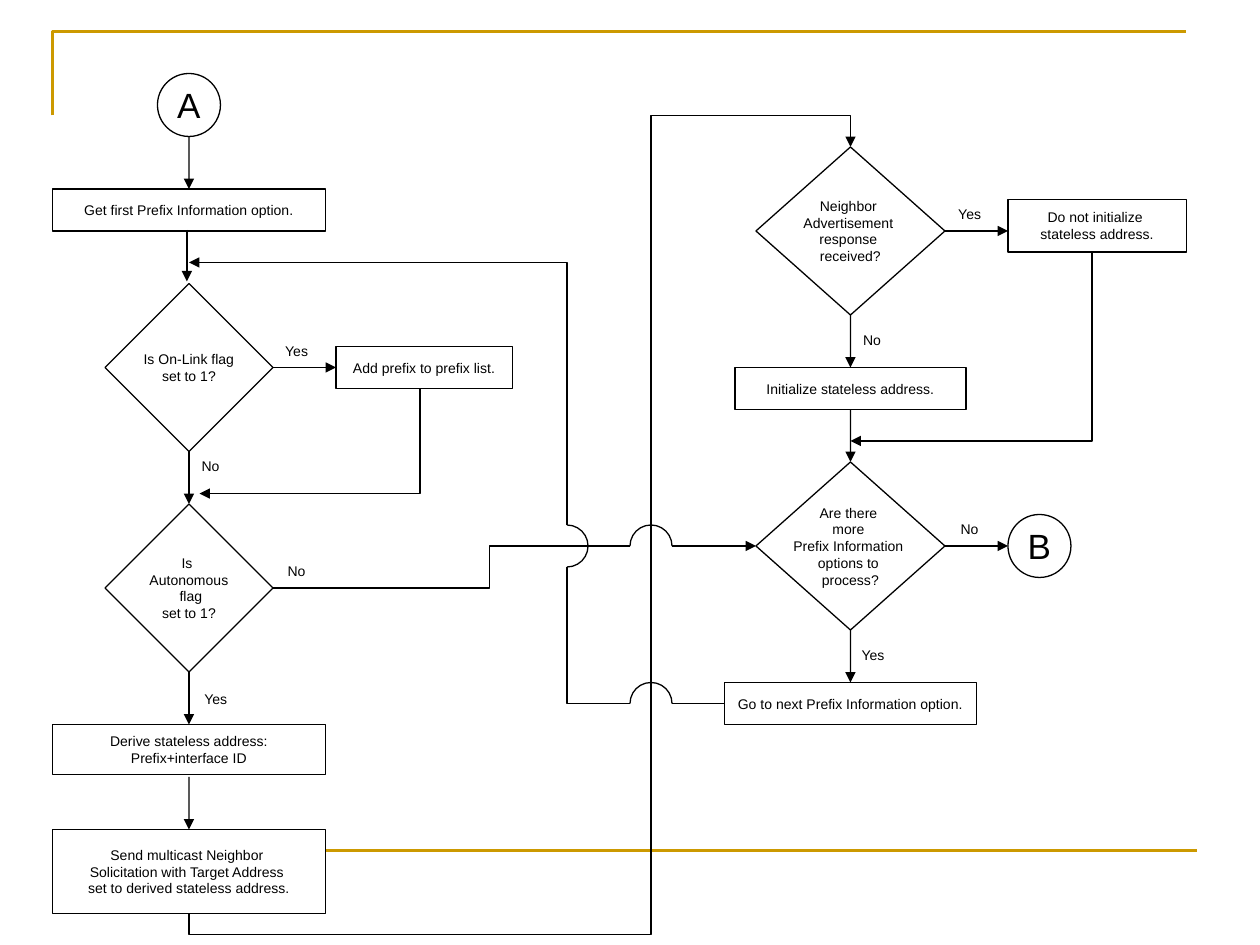
from lxml.etree import SubElement
from pptx import Presentation
from pptx.dml.color import RGBColor
from pptx.enum.shapes import MSO_CONNECTOR, MSO_SHAPE
from pptx.enum.text import MSO_ANCHOR, MSO_AUTO_SIZE, PP_ALIGN
from pptx.oxml.ns import qn
from pptx.util import Cm, Pt

BLACK = RGBColor(0x00, 0x00, 0x00)
WHITE = RGBColor(0xFF, 0xFF, 0xFF)
GOLD = RGBColor(0xCC, 0x99, 0x00)

RECT, DIAMOND, CIRCLE = MSO_SHAPE.RECTANGLE, MSO_SHAPE.DIAMOND, MSO_SHAPE.OVAL
TOP, LEFT, BOTTOM, RIGHT = range(4)


def grid(*units):
    """Turn grid units (120 across the slide, 90 down) into lengths."""
    return [Cm(n * 25.4 / 120) for n in units]


def style_line(sp, color=BLACK, width=0.75, arrow=False):
    sp.line.color.rgb = color
    sp.line.width = Pt(width)
    spPr = sp._element.spPr
    if arrow:
        SubElement(spPr.find(qn("a:ln")), qn("a:tailEnd"), type="triangle")
    if spPr.find(qn("a:effectLst")) is None:
        SubElement(spPr, qn("a:effectLst"))


prs = Presentation()
prs.slide_width, prs.slide_height = Cm(25.4), Cm(19.05)
s = prs.slides.add_slide(prs.slide_layouts[6])

# Gold footer rule
rule = s.shapes.add_connector(MSO_CONNECTOR.STRAIGHT, *grid(6, 81, 114, 81))
style_line(rule, GOLD, 1.5)

# Steps, decisions and page connectors: left, top, width, height
nodes = {
    "start": (CIRCLE, (15, 7, 6, 6), "A"),
    "first": (RECT, (5, 18, 26, 4), "Get first Prefix Information option."),
    "on_link": (DIAMOND, (10, 27, 16, 16), "Is On-Link flag\nset to 1?"),
    "add": (RECT, (32, 33, 16.8, 4), "Add prefix to prefix list."),
    "autonomous": (DIAMOND, (10, 48, 16, 16),
                   "Is \nAutonomous\n flag\nset to 1?"),
    "derive": (RECT, (5, 69, 26, 4.8),
               "Derive stateless address:\nPrefix+interface ID"),
    "send": (RECT, (5, 79, 26, 8),
             "Send multicast Neighbor \nSolicitation with Target Address \n"
             "set to derived stateless address."),
    "response": (DIAMOND, (72, 14, 18, 16),
                 "Neighbor \nAdvertisement \nresponse \nreceived?"),
    "skip": (RECT, (96, 19, 17, 5), "Do not initialize \nstateless address."),
    "init": (RECT, (70, 35, 22, 4), "Initialize stateless address."),
    "more": (DIAMOND, (72, 44, 18, 16),
             "Are there \nmore \nPrefix Information \noptions to \nprocess?"),
    "next": (RECT, (69, 65, 24, 4), "Go to next Prefix Information option."),
    "end": (CIRCLE, (96, 49, 6, 6), "B"),
}
# Branch labels: left, top
labels = [
    ("Yes", 25.9, 32), ("No", 18, 43), ("No", 26.2, 53), ("Yes", 18.2, 65.2),
    ("Yes", 90, 19), ("No", 81, 31), ("No", 90.3, 49), ("Yes", 80.8, 61),
]

shapes, texts = {}, []
for name, (kind, box, text) in nodes.items():
    sp = s.shapes.add_shape(kind, *grid(*box))
    sp.shadow.inherit = False
    if kind == CIRCLE:
        sp.fill.background()
    else:
        sp.fill.solid()
        sp.fill.fore_color.rgb = WHITE
    style_line(sp)
    sp.text_frame.vertical_anchor = MSO_ANCHOR.MIDDLE
    shapes[name] = sp
    texts.append((sp, text, 20 if kind == CIRCLE else 8))
for text, x, y in labels:
    sp = s.shapes.add_textbox(*grid(x, y, 4.7 if text == "Yes" else 4.1, 2.9))
    sp.text_frame.auto_size = MSO_AUTO_SIZE.SHAPE_TO_FIT_TEXT
    texts.append((sp, text, 8))

for sp, text, size in texts:
    tf = sp.text_frame
    tf.word_wrap = False
    tf.text = text
    for p in tf.paragraphs:
        p.alignment = PP_ALIGN.CENTER
        p.font.name = "Arial"
        p.font.size = Pt(size)
        p.font.color.rgb = BLACK

# Straight flow lines: ends, joined start, joined finish, arrowhead
flows = [
    ((18, 13, 18, 18), None, ("first", TOP), True),
    ((17.8, 21.9, 17.8, 26.8), None, None, True),
    ((26, 35, 32, 35), ("on_link", RIGHT), ("add", LEFT), True),
    ((18, 43, 18, 48), ("on_link", BOTTOM), ("autonomous", TOP), True),
    ((18, 64, 18, 69), ("autonomous", BOTTOM), ("derive", TOP), True),
    ((18, 74, 18, 79), None, ("send", TOP), True),
    ((90, 22, 96, 22), ("response", RIGHT), None, True),
    ((81, 30, 81, 35), ("response", BOTTOM), ("init", TOP), True),
    ((81, 39, 81, 44), ("init", BOTTOM), ("more", TOP), True),
    ((90, 52, 96, 52), ("more", RIGHT), None, True),
    ((81, 60, 81, 65), ("more", BOTTOM), ("next", TOP), True),
    ((64, 52, 72, 52), None, ("more", LEFT), True),
    ((69, 67, 64, 67), ("next", LEFT), None, False),
]
for ends, begin, finish, arrow in flows:
    line = s.shapes.add_connector(MSO_CONNECTOR.STRAIGHT, *grid(*ends))
    if begin:
        line.begin_connect(shapes[begin[0]], begin[1])
    if finish:
        line.end_connect(shapes[finish[0]], finish[1])
    style_line(line, arrow=arrow)

# Bent lines: the gold corner, then the flow paths
bends = [
    ([(5, 11), (5, 3), (113, 3)], GOLD, 1.5, False),
    ([(40, 37), (40, 47), (19, 47)], BLACK, 0.75, True),
    ([(104, 24), (104, 42), (81, 42)], BLACK, 0.75, True),
    ([(18, 87), (18, 89), (62, 89), (62, 11), (81, 11), (81, 14)],
     BLACK, 0.75, True),
    ([(26, 56), (46.6, 56), (46.6, 52), (60, 52)], BLACK, 0.75, False),
    ([(60, 67), (54, 67), (54, 54)], BLACK, 0.75, False),
    ([(54, 50), (54, 25), (18, 25)], BLACK, 0.75, True),
]
for points, color, width, arrow in bends:
    start, *rest = [grid(*pt) for pt in points]
    fb = s.shapes.build_freeform(*start)
    fb.add_line_segments(rest, close=False)
    sp = fb.convert_to_shape()
    sp.shadow.inherit = False
    sp.fill.background()
    style_line(sp, color, width, arrow)

# Half-circle jumps where lines cross: left, top, start and end angle
for x, y, begin, finish in [(60, 50, 180, 0), (60, 65, 180, 0),
                            (52, 50, 270, 90)]:
    sp = s.shapes.add_shape(MSO_SHAPE.ARC, *grid(x, y, 4, 4))
    sp.adjustments[0] = begin * 0.6
    sp.adjustments[1] = finish * 0.6
    sp.shadow.inherit = False
    sp.fill.background()
    style_line(sp)

prs.save("out.pptx")
